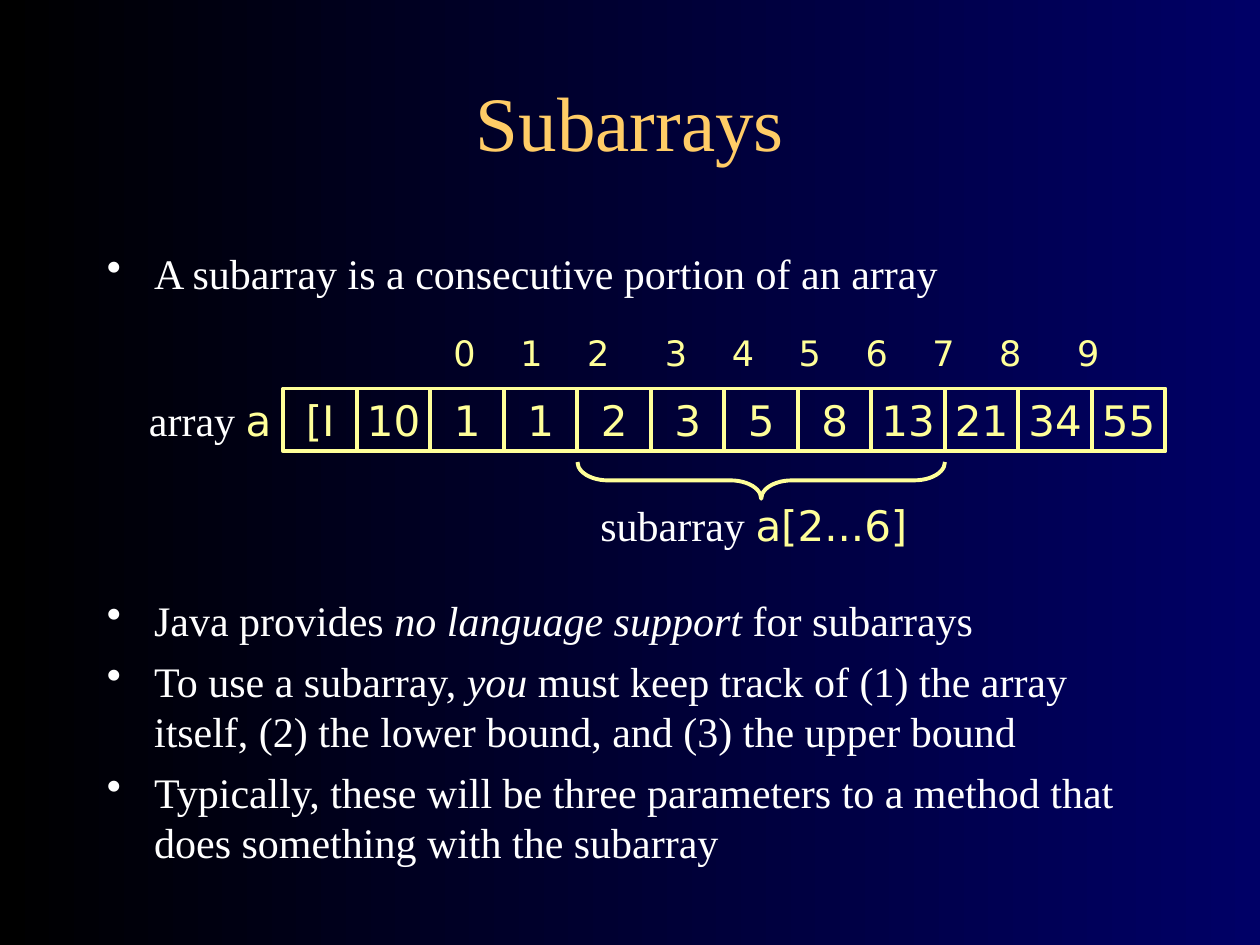
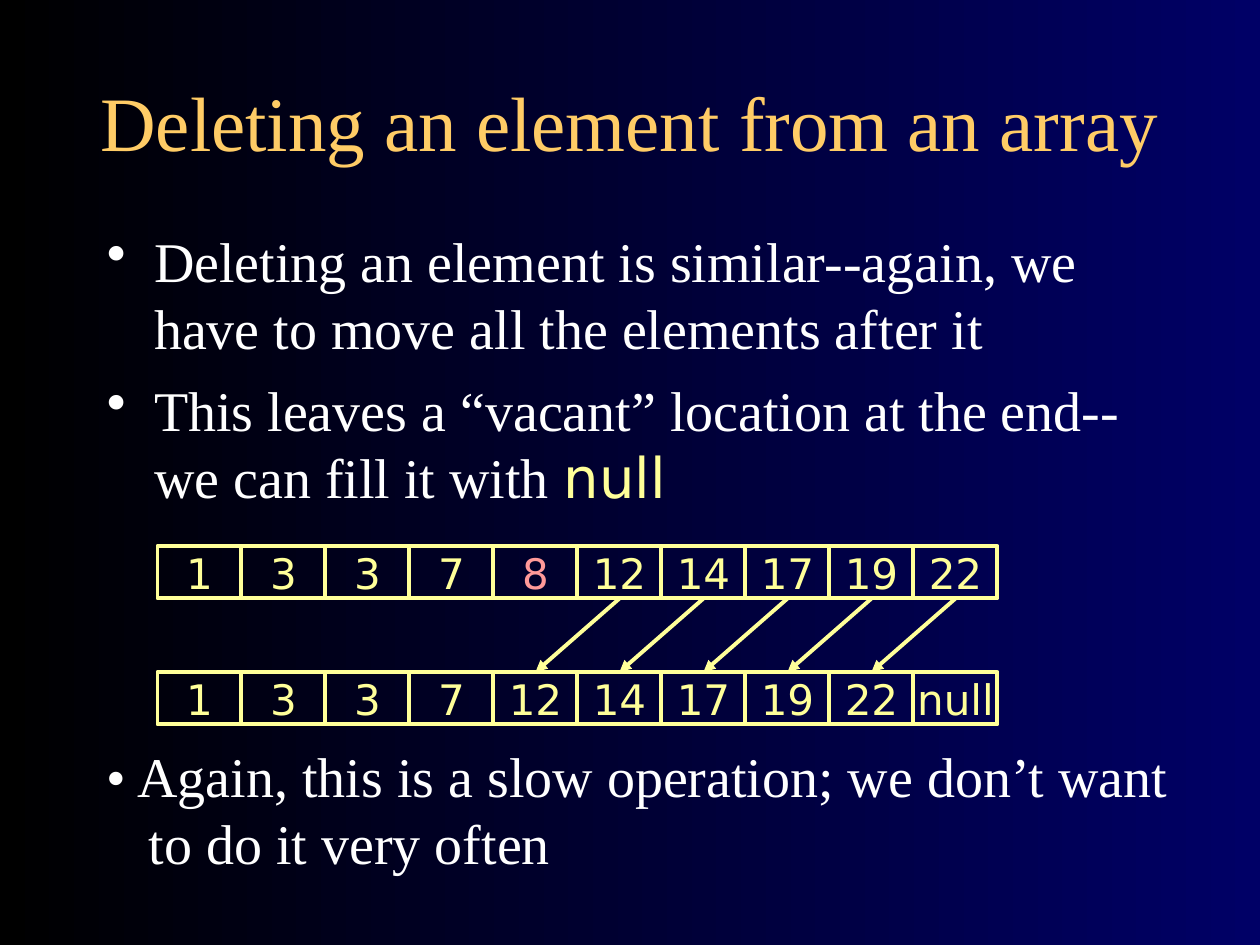
from itertools import accumulate

from lxml.etree import SubElement
from pptx import Presentation
from pptx.dml.color import RGBColor
from pptx.enum.shapes import MSO_CONNECTOR, MSO_SHAPE
from pptx.enum.text import MSO_ANCHOR, PP_ALIGN
from pptx.oxml.ns import qn
from pptx.util import Inches, Pt

COLS = 120
ROWS = 90


def paint(color, code):
    color.rgb = RGBColor.from_string(code)


class Deck:
    serif = "Times New Roman"
    sans = "DejaVu Sans"
    white = "FFFFFF"
    gold = "FFCC66"
    lemon = "FFFF99"
    rose = "FF9999"
    dark = ("000000", "000066")
    stroke = Pt(2.25)

    def __init__(self):
        self.show = Presentation()
        self.show.slide_width = Inches(10)
        self.show.slide_height = Inches(7.5)
        self.slide = None

    def x(self, cols):
        return round(self.show.slide_width * cols / COLS)

    def y(self, rows):
        return round(self.show.slide_height * rows / ROWS)

    def area(self, left, top, wide, high):
        return self.x(left), self.y(top), self.x(wide), self.y(high)

    def page(self, title, edge):
        self.slide = self.show.slides.add_slide(self.show.slide_layouts[6])
        fill = self.slide.background.fill
        fill.gradient()
        fill.gradient_angle = 0
        for stop, code in zip(fill.gradient_stops, self.dark):
            paint(stop.color, code)
        frame = self.box(edge, 4, COLS - 2 * edge, 15)
        frame.vertical_anchor = MSO_ANCHOR.MIDDLE
        para = self.phrase(frame.paragraphs[0], [title], 44, color=self.gold)
        para.alignment = PP_ALIGN.CENTER

    def box(self, left, top, wide, high):
        shape = self.slide.shapes.add_textbox(*self.area(left, top, wide, high))
        shape.text_frame.word_wrap = True
        return shape.text_frame

    def style(self, font, face, color):
        font.name = face
        paint(font.color, color)

    def phrase(self, para, parts, size, face=serif, color=white):
        para.font.size = Pt(size)
        self.style(para.font, face, color)
        for part in parts:
            if part == "\n":
                para.add_line_break()
                continue
            text, look = part if isinstance(part, tuple) else (part, "")
            run = para.add_run()
            run.text = text
            if look == "code":
                self.style(run.font, self.sans, self.lemon)
            elif look == "slant":
                run.font.italic = True
        return para

    def label(self, left, top, wide, high, parts, size, before, **look):
        frame = self.box(left, top, wide, high)
        para = self.phrase(frame.paragraphs[0], parts, size, **look)
        para.space_before = Pt(before)
        return para

    def indent(self, para, depth):
        props = para._p.get_or_add_pPr()
        props.set("marL", str(depth))
        props.set("indent", str(-depth))
        return props

    def points(self, left, top, wide, high, items, size):
        frame = self.box(left, top, wide, high)
        for rank, parts in enumerate(items):
            para = frame.add_paragraph() if rank else frame.paragraphs[0]
            self.phrase(para, parts, size)
            para.space_before = Pt(size / 4)
            props = self.indent(para, self.x(4.5))
            tint = SubElement(props, qn("a:buClr"))
            SubElement(tint, qn("a:srgbClr"), val=self.white)
            SubElement(props, qn("a:buChar"), char="•")
            props.append(props.find(qn("a:defRPr")))

    def tabs(self, para, stops):
        props = para._p.get_or_add_pPr()
        ruler = SubElement(props, qn("a:tabLst"))
        for stop in stops:
            SubElement(ruler, qn("a:tab"), pos=str(Pt(stop)), algn="l")
        props.append(props.find(qn("a:defRPr")))

    def cells(self, left, top, wide, high, words, marked=None):
        for rank, word in enumerate(words):
            place = self.area(left + rank * wide, top, wide, high)
            cell = self.slide.shapes.add_shape(MSO_SHAPE.RECTANGLE, *place)
            self.outline(cell)
            frame = cell.text_frame
            frame.word_wrap = False
            frame.vertical_anchor = MSO_ANCHOR.MIDDLE
            color = self.rose if rank == marked else self.lemon
            para = self.phrase(frame.paragraphs[0], [word], 24, self.sans, color)
            para.alignment = PP_ALIGN.CENTER

    def outline(self, shape):
        shape.shadow.inherit = False
        shape.fill.background()
        self.ink(shape.line)

    def ink(self, line):
        paint(line.color, self.lemon)
        line.width = self.stroke

    def brace(self, left, top, wide, high):
        place = self.area(left + (wide - high) / 2, top + (high - wide) / 2, high, wide)
        shape = self.slide.shapes.add_shape(MSO_SHAPE.LEFT_BRACE, *place)
        shape.rotation = 270
        shape.adjustments[0] = 0.83
        self.outline(shape)

    def arrow(self, start, end):
        ends = self.x(start[0]), self.y(start[1]), self.x(end[0]), self.y(end[1])
        link = self.slide.shapes.add_connector(MSO_CONNECTOR.STRAIGHT, *ends)
        self.ink(link.line)
        SubElement(link.line._get_or_add_ln(), qn("a:tailEnd"), type="triangle")
        SubElement(link._element.spPr, qn("a:effectLst"))


def portion(deck):
    deck.page("Subarrays", 9)
    deck.points(9, 23, 102, 9, [["A subarray is a consecutive portion of an array"]], 24)
    deck.points(9, 56, 103, 27, [
        ["Java provides ", ("no language support", "slant"), " for subarrays"],
        ["To use a subarray, ", ("you", "slant"),
         " must keep track of (1) the array itself, (2) the lower bound,"
         " and (3) the upper bound"],
        ["Typically, these will be three parameters to a method"
         " that does something with the subarray"],
    ], 24)
    left, top, wide, high = 27, 37, 7, 6
    words = ["[I", "10", "1", "1", "2", "3", "5", "8", "13", "21", "34", "55"]
    deck.cells(left, top, wide, high, words)
    deck.label(13, top, 15, high, ["array ", ("a", "code")], 24, 15)
    marks = "\t".join(str(rank) for rank in range(10))
    para = deck.label(42, 31, 69, 5.25, [marks], 20, 12.5,
                      face=deck.sans, color=deck.lemon)
    near, far = 38.2, 44.5
    deck.tabs(para, accumulate([near, near, far] + [near] * 5 + [far]))
    deck.brace(left + 4 * wide, 44, 5 * wide, 3.5)
    deck.label(56, 47, 34, 6, ["subarray ", ("a[2...6]", "code")], 24, 15)


def removal(deck):
    deck.page("Deleting an element from an array", 7)
    deck.points(9, 21, 102, 30, [
        ["Deleting an element is similar--again, we have to move"
         " all the elements after it"],
        ["This leaves a “vacant” location at the end--we can fill it with ",
         ("null", "code")],
    ], 32)
    left, wide, high, upper, lower = 15, 8, 5, 52, 64
    words = ["1", "3", "3", "7", "8", "12", "14", "17", "19", "22"]
    gone = words.index("8")
    moved = words[:gone] + words[gone + 1:] + ["null"]
    deck.cells(left, upper, wide, high, words, gone)
    deck.cells(left, lower, wide, high, moved)
    for rank in range(gone + 1, len(words)):
        middle = left + (rank + 0.5) * wide
        deck.arrow((middle, upper + high), (middle - wide, lower))
    para = deck.label(9, 70, 108, 14, [
        "• Again, this is a slow operation; we don’t want", "\n",
        "to do it very often",
    ], 32, 20)
    deck.indent(para, deck.x(4))


def main():
    deck = Deck()
    portion(deck)
    removal(deck)
    deck.show.save("out.pptx")


if __name__ == "__main__":
    main()
